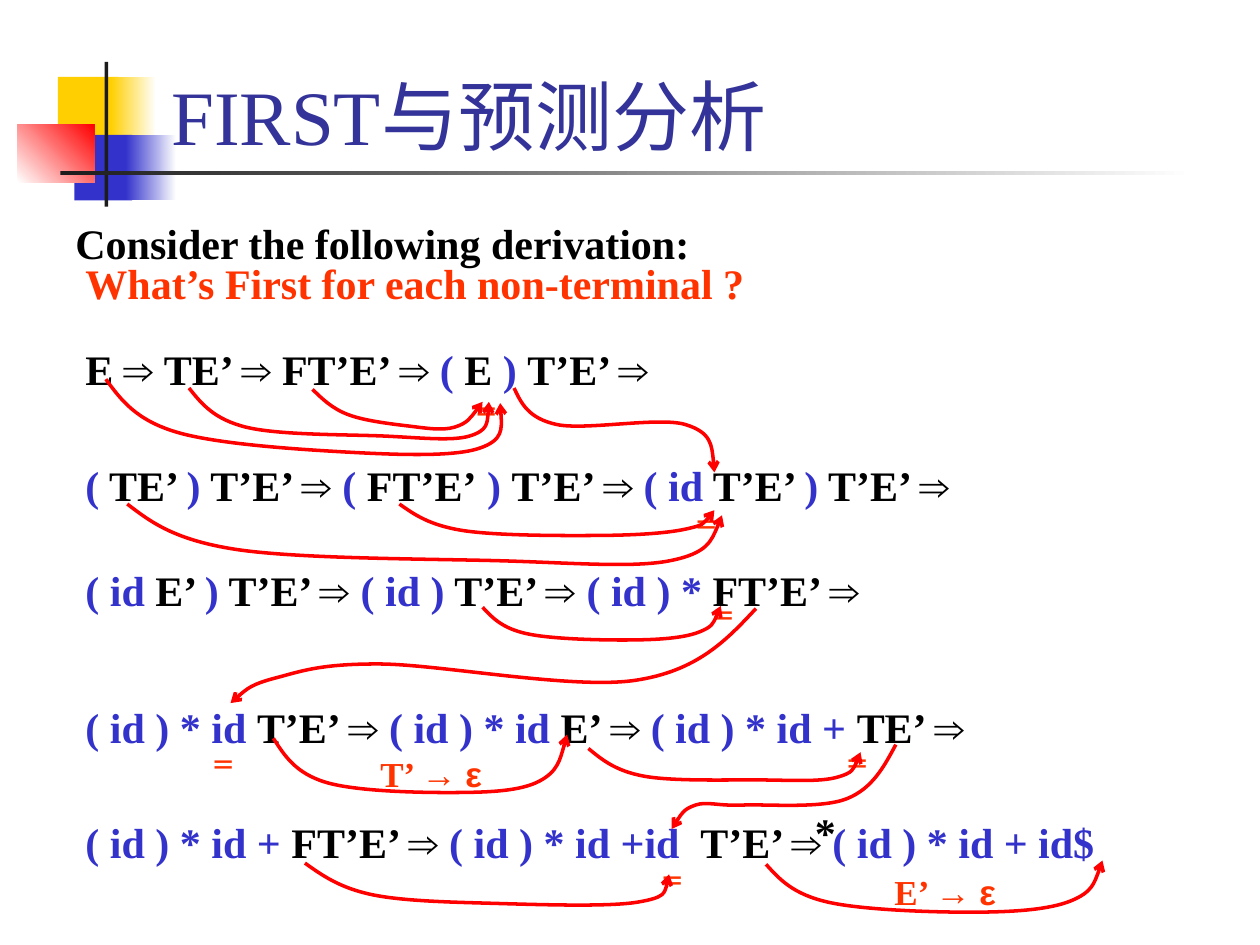
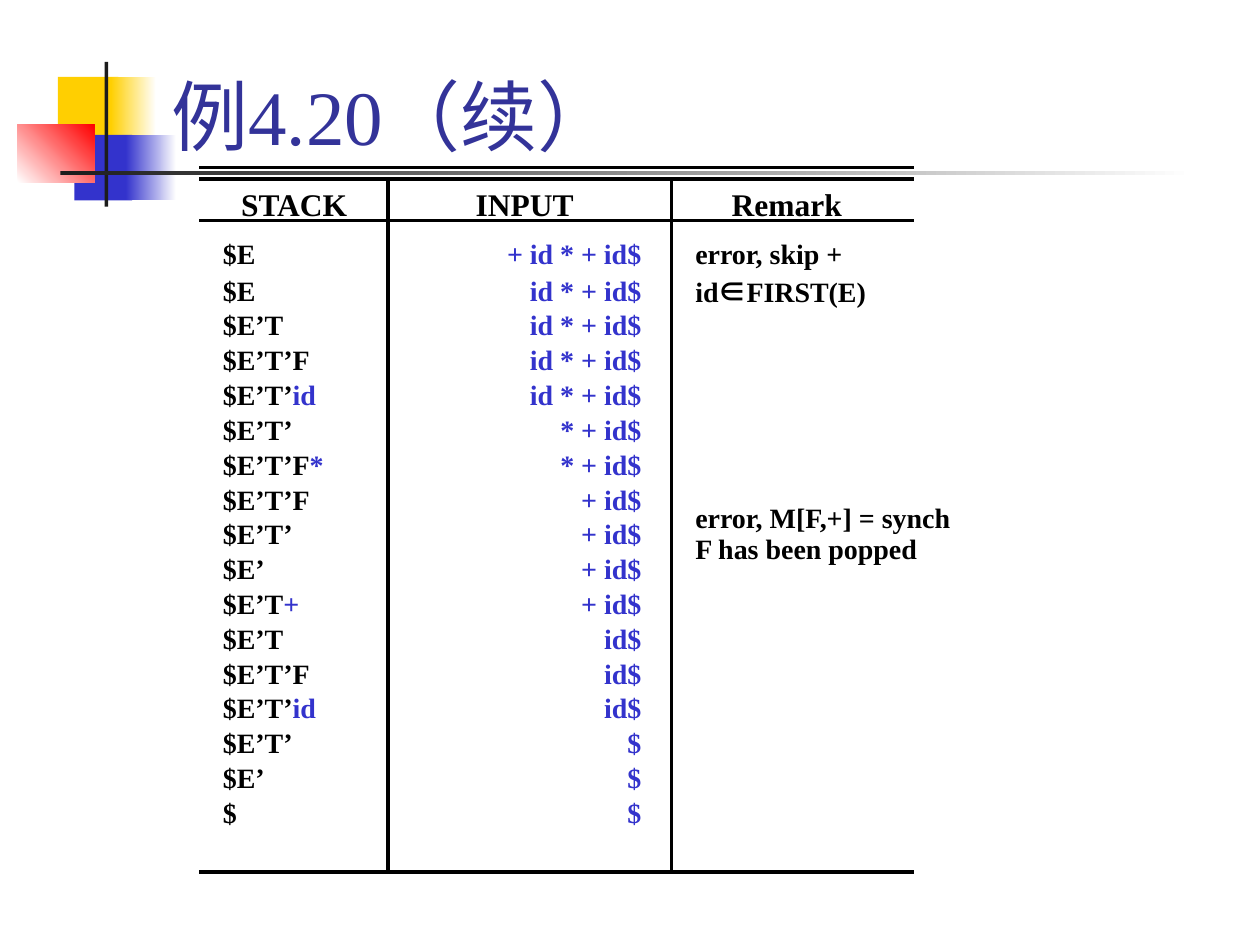
from dataclasses import dataclass
from typing import Optional

import pptx
import pptx.dml.color
import pptx.enum.shapes
import pptx.enum.text
import pptx.oxml
import pptx.oxml.ns
import pptx.util
from lxml import etree

EMU_PER_PX = 9144  # 100 px to the inch
SERIF = "Times New Roman"
BLACK, BLUE, TITLE_BLUE = "000000", "3333CC", "333399"
ORANGE, RED, WHITE = "FF3300", "FF0000", "FFFFFF"
YELLOW, CHARCOAL = "FFCF01", "1C1C1C"
ALIGN = pptx.enum.text.PP_ALIGN
qn = pptx.oxml.ns.qn

Point = tuple[float, float]


@dataclass
class Band:
    box: tuple[int, int, int, int]
    color: str
    fade_to: Optional[str] = None
    angle: int = 0


@dataclass
class Label:
    """Text box; every second part between bars takes the accent colour or font."""
    box: tuple[int, int, int, int]
    lines: list[str]
    size: int = 24
    color: str = BLACK
    accent: Optional[str] = BLUE
    accent_font: Optional[str] = None
    align: Optional[ALIGN] = None
    first_spacing: float = 1.0
    subscript: bool = False
    right_inset: int = 10
    tab: int = 0


BANDS = [
    Band((46, 61, 48, 52), YELLOW),
    Band((88, 61, 36, 52), YELLOW, WHITE),
    Band((59, 107, 46, 52), BLUE),
    Band((100, 107, 40, 52), BLUE, WHITE),
    Band((14, 99, 61, 46), WHITE, RED, 45),
    Band((83, 49, 3, 115), CHARCOAL),
    Band((48, 136, 900, 3), CHARCOAL, WHITE),
]

DERIVATION = {
    268: "E ⇒ TE’ ⇒ FT’E’ ⇒ |( |E| ) |T’E’ ⇒",
    360: "|(| TE’ |)| T’E’ ⇒ |( |FT’E’| ) |T’E’ ⇒ |( id| T’E’ |)| T’E’ ⇒",
    443: "|( id| E’ |)| T’E’ ⇒ |( id )| T’E’ ⇒ |( id ) *| FT’E’ ⇒",
    552: "|( id ) * id |T’E’ ⇒ |( id ) * id |E’ ⇒ |( id ) * id + |TE’ ⇒",
    643: "|( id ) * id + |FT’E’ ⇒ |( id ) * id +id\t|T’E’ ⇒ |( id ) * id + id$",
}
DERIVATION_LABELS = [
    Label((50, 168, 642, 50), ["Consider the following derivation:"]),
    Label((58, 210, 567, 38), ["What’s First for each non-terminal ?"],
          color=ORANGE, first_spacing=0.7),
    Label((637, 635, 80, 50), ["*"]),
]
DERIVATION_LABELS += [Label((58, y, 921, 50), [line], tab=488)
                      for y, line in DERIVATION.items()]
DERIVATION_LABELS += [
    Label((x, y, 45, 37), ["＝"], color=ORANGE, subscript=True)
    for x, y in ((514, 660), (367, 288), (541, 378), (158, 568), (661, 567), (555, 450))]
DERIVATION_LABELS += [
    Label((x, y, 142, 43), [f"{name} → |ε"], 20, ORANGE, None, "Arial")
    for x, y, name in ((700, 686, "E’"), (292, 592, "T’"))]

# Points that each arrow runs through
ARROWS = [
    [(248, 309), (276, 329), (323, 338), (361, 339), (383, 319)],
    [(242, 685), (295, 710), (394, 717), (506, 716), (531, 694)],
    [(317, 400), (367, 421), (474, 425), (544, 420), (567, 405)],
    [(600, 483), (504, 540), (302, 527), (219, 538), (183, 558)],
    [(84, 301), (140, 343), (278, 359), (380, 356), (397, 320)],
    [(150, 308), (195, 339), (302, 346), (373, 346), (388, 319)],
    [(101, 400), (187, 436), (394, 445), (532, 445), (573, 409)],
    [(711, 591), (672, 634), (589, 639), (552, 639), (533, 658)],
    [(217, 586), (259, 621), (362, 629), (428, 620), (450, 583)],
    [(408, 308), (442, 337), (544, 337), (567, 375)],
    [(467, 594), (511, 616), (602, 619), (664, 617), (683, 597)],
    [(608, 686), (657, 716), (774, 724), (850, 715), (875, 683)],
    [(383, 482), (418, 503), (500, 508), (554, 502), (572, 481)],
]

LEFT, RIGHT, TOP, BOTTOM = 158, 725, 142, 692
RULES = [(LEFT, y, RIGHT, y) for y in (133, TOP, 175, BOTTOM)]
RULES += [(x, TOP, x, BOTTOM) for x in (308, 533)]

STACK = ["$E", "$E", "$E’T", "$E’T’F", "$E’T’|id", "$E’T’", "$E’T’F|*", "$E’T’F",
         "$E’T’", "$E’", "$E’T|+", "$E’T", "$E’T’F", "$E’T’|id", "$E’T’", "$E’", "$"]
INPUT = (["+ id * + id$"] + ["id * + id$"] * 4 + ["* + id$"] * 2 + ["+ id$"] * 4
         + ["id$"] * 3 + ["$"] * 3)
REMARKS = {183: "error, skip +", 213: "id|∈|FIRST(E)",
           392: "error, M[F,+] = synch", 417: "F has been popped"}

PARSE_LABELS = [
    Label((167, 183, 125, 504), STACK, 16),
    Label((325, 183, 200, 504), INPUT, 16, BLUE, align=ALIGN.RIGHT, right_inset=16),
]
PARSE_LABELS += [Label((x, TOP, 133, 40), [head], 18, align=ALIGN.CENTER)
                 for x, head in ((167, "STACK"), (350, "INPUT"), (558, "Remark"))]
PARSE_LABELS += [Label((542, y, 250, 37), [remark], 16, accent=None,
                       accent_font="Noto Sans CJK SC")
                 for y, remark in REMARKS.items()]


def px(n: float) -> pptx.util.Emu:
    return pptx.util.Emu(round(n * EMU_PER_PX))


def rgb(color: str) -> pptx.dml.color.RGBColor:
    return pptx.dml.color.RGBColor.from_string(color)


def set_font(font, size: int, color: str, bold: bool) -> None:
    font.name, font.size, font.bold = SERIF, pptx.util.Pt(size), bold
    font.color.rgb = rgb(color)


def set_line(line, color: str) -> None:
    line.color.rgb = rgb(color)
    line.width = pptx.util.Pt(2)


def draw_band(shapes, band: Band):
    sp = shapes.add_shape(pptx.enum.shapes.MSO_SHAPE.RECTANGLE, *map(px, band.box))
    sp.shadow.inherit = False
    sp.line.fill.background()
    if band.fade_to:
        sp.fill.gradient()
        sp.fill.gradient_angle = band.angle
        for stop, color in zip(sp.fill.gradient_stops, (band.color, band.fade_to)):
            stop.color.rgb = rgb(color)
    else:
        sp.fill.solid()
        sp.fill.fore_color.rgb = rgb(band.color)
    return sp


def put_bands_on_layout(slide) -> None:
    """Draw the bands on the slide, then move them to its layout, at the back."""
    for i, band in enumerate(BANDS):
        sp = draw_band(slide.shapes, band)
        slide.slide_layout.shapes._spTree.insert(2 + i, sp._element)


def add_titled_slide(prs, text: str):
    slide = prs.slides.add_slide(prs.slide_layouts[5])
    title = slide.shapes.title
    title.left, title.top, title.width, title.height = map(px, (126, 8, 852, 125))
    tf = title.text_frame
    tf.text = text
    tf.vertical_anchor = pptx.enum.text.MSO_ANCHOR.BOTTOM
    p = tf.paragraphs[0]
    p.alignment = ALIGN.LEFT
    set_font(p.font, 44, TITLE_BLUE, False)
    return slide


def add_runs(p, line: str, label: Label) -> None:
    for i, part in enumerate(line.split("|")):
        if not part:
            continue
        r = p.add_run()
        r.text = part
        if label.subscript:
            r._r.get_or_add_rPr().set("baseline", "-25000")
        if i % 2 and label.accent:
            r.font.color.rgb = rgb(label.accent)
        if i % 2 and label.accent_font:
            r.font.name = label.accent_font
            etree.SubElement(r._r.rPr, qn("a:ea"), typeface=label.accent_font)


def draw_label(shapes, label: Label) -> None:
    tf = shapes.add_textbox(*map(px, label.box)).text_frame
    tf.word_wrap = True
    tf.margin_right = px(label.right_inset)
    for i, line in enumerate(label.lines):
        p = tf.add_paragraph() if i else tf.paragraphs[0]
        if label.align is not None:
            p.alignment = label.align
        p.line_spacing = 0.6 if i else label.first_spacing
        if i:
            p.space_before = pptx.util.Pt(8.4)
        if "\t" in line:
            tabs = etree.SubElement(p._p.get_or_add_pPr(), qn("a:tabLst"))
            etree.SubElement(tabs, qn("a:tab"), pos=str(px(label.tab)), algn="l")
        set_font(p.font, label.size, label.color, True)
        add_runs(p, line, label)


def midpoint(a: Point, b: Point) -> Point:
    return (a[0] + b[0]) / 2, (a[1] + b[1]) / 2


def bezier_points(knots: list[Point]) -> list[Point]:
    """Control and end points, three a piece, of a smooth curve through the knots."""
    before, after = {}, {}
    for i in range(1, len(knots) - 1):
        (x0, y0), (x, y), (x1, y1) = knots[i - 1:i + 2]
        dx, dy = (x1 - x0) / 6, (y1 - y0) / 6
        before[i], after[i] = (x - dx, y - dy), (x + dx, y + dy)
    last = len(knots) - 1
    after[0] = midpoint(knots[0], before[1])
    before[last] = midpoint(knots[last], after[last - 1])
    return [pt for i in range(last) for pt in (after[i], before[i + 1], knots[i + 1])]


def draw_arrow(shapes, knots: list[Point]) -> None:
    builder = shapes.build_freeform(*map(px, knots[0]), scale=1.0)
    builder.add_line_segments([(px(x), px(y)) for x, y in bezier_points(knots)],
                              close=False)
    sp = builder.convert_to_shape()
    sp.shadow.inherit = False
    sp.fill.background()
    set_line(sp.line, RED)
    etree.SubElement(sp.line._get_or_add_ln(), qn("a:tailEnd"), type="arrow")
    outline = next(sp._element.iter(qn("a:path")))
    segments = outline.findall(qn("a:lnTo"))
    for i in range(0, len(segments), 3):
        curve = etree.SubElement(outline, qn("a:cubicBezTo"))
        for segment in segments[i:i + 3]:
            curve.append(segment[0])
            outline.remove(segment)


def draw_rule(shapes, ends: tuple[int, int, int, int]) -> None:
    rule = shapes.add_connector(pptx.enum.shapes.MSO_CONNECTOR.STRAIGHT, *map(px, ends))
    set_line(rule.line, BLACK)
    etree.SubElement(rule._element.spPr, qn("a:effectLst"))


def main() -> None:
    prs = pptx.Presentation()
    prs.slide_width, prs.slide_height = px(1000), px(750)

    slide = add_titled_slide(prs, "FIRST与预测分析")
    put_bands_on_layout(slide)
    for label in DERIVATION_LABELS:
        draw_label(slide.shapes, label)
    for knots in ARROWS:
        draw_arrow(slide.shapes, knots)

    slide = add_titled_slide(prs, "例4.20（续）")
    for ends in RULES:
        draw_rule(slide.shapes, ends)
    for label in PARSE_LABELS:
        draw_label(slide.shapes, label)

    prs.save("out.pptx")


if __name__ == "__main__":
    main()
